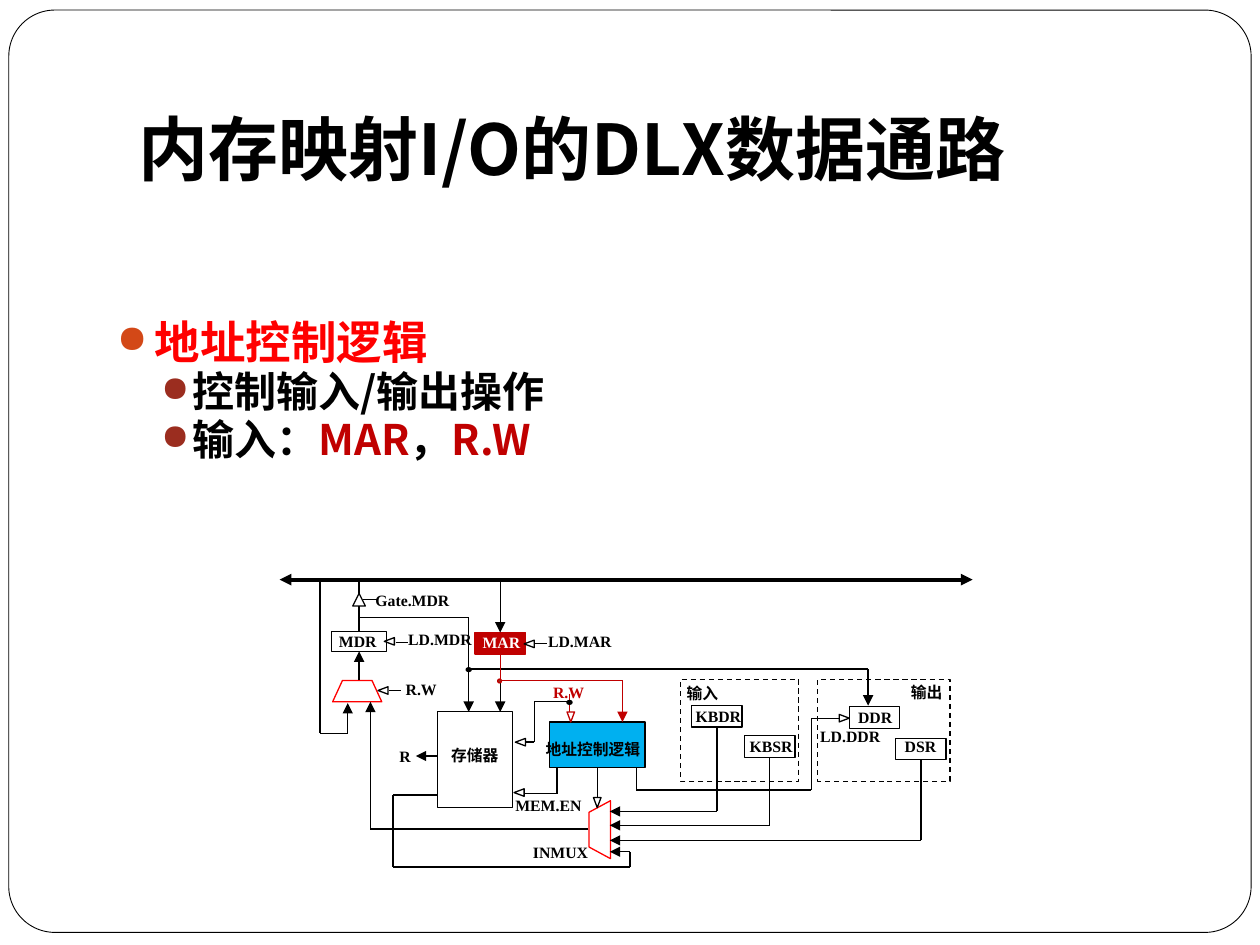
"""Build a slide on the DLX data path with memory-mapped input and output."""
import itertools
from dataclasses import dataclass
from typing import Any, NamedTuple, Optional

import pptx
import pptx.dml.color
import pptx.enum.dml
import pptx.enum.shapes
import pptx.enum.text
import pptx.oxml
import pptx.oxml.ns
import pptx.util

Kind = pptx.enum.shapes.MSO_SHAPE
Anchor = pptx.enum.text.MSO_ANCHOR
Pt = pptx.util.Pt
COLS, ROWS = 1000, 750


@dataclass(frozen=True)
class Theme:
    black: str = "000000"
    white: str = "FFFFFF"
    red: str = "FF0000"
    dark: str = "C00000"
    brick: str = "9B2D1F"
    rust: str = "D34817"
    blue: str = "00B0F0"
    sans: str = "Noto Sans CJK SC"
    serif: str = "Times New Roman"
    title: float = 40
    head: float = 26
    body: float = 24
    label: float = 9
    thin: float = 0.75
    thick: float = 2.25


T = Theme()


class Box(NamedTuple):
    x: float
    y: float
    w: float
    h: float
    fill: Optional[str] = None
    line: str = T.black
    kind: Any = Kind.RECTANGLE
    turn: int = 0
    dash: bool = False


class Label(NamedTuple):
    text: str
    x: float
    y: float
    w: float
    h: float = 22
    tone: str = T.black


class Wire(NamedTuple):
    points: tuple
    tail: bool = False
    tone: str = T.black
    head: bool = False
    width: float = T.thin


class Point(NamedTuple):
    runs: tuple
    size: float
    mark: str
    left: float
    hang: float
    gap: float


deck = pptx.Presentation()
deck.slide_width, deck.slide_height = pptx.util.Inches(10), pptx.util.Inches(7.5)
slide = deck.slides.add_slide(deck.slide_layouts[6])
shapes = slide.shapes
ports: dict = {}


def col(n: float) -> int:
    """Turn grid columns into a length."""
    return round(deck.slide_width * n / COLS)


def row(n: float) -> int:
    """Turn grid rows into a length."""
    return round(deck.slide_height * n / ROWS)


def rgb(tone: str) -> Any:
    """Turn a hex value into a colour."""
    return pptx.dml.color.RGBColor.from_string(tone)


def apply(item: Any, values: dict) -> None:
    """Set each format value on an object."""
    for name, value in values.items():
        setattr(item, name, value)


def add(parent: Any, tag: str, **values: str) -> Any:
    """Append an XML element with its attributes."""
    node = pptx.oxml.parse_xml(f"<{tag} {pptx.oxml.ns.nsdecls('a')}/>")
    for name, value in values.items():
        node.set(name, value)
    parent.append(node)
    return node


def draw_box(box: Box, width: float = T.thin) -> Any:
    """Draw a shape and note the middle of each side of a rectangle."""
    x, y, w, h = box[:4]
    shape = shapes.add_shape(box.kind, col(x), row(y), col(w), row(h))
    shape.shadow.inherit = False
    shape.rotation = box.turn
    if box.fill:
        shape.fill.solid()
        shape.fill.fore_color.rgb = rgb(box.fill)
    else:
        shape.fill.background()
    shape.line.color.rgb = rgb(box.line)
    shape.line.width = Pt(width)
    if box.dash:
        shape.line.dash_style = pptx.enum.dml.MSO_LINE.DASH
    if box.kind == Kind.RECTANGLE:
        sides = ((x + w / 2, y), (x, y + h / 2), (x + w / 2, y + h), (x + w, y + h / 2))
        ports.update({side: (shape, site) for site, side in enumerate(sides)})
    return shape


def draw_wire(wire: Wire) -> None:
    """Draw a wire as straight parts, joined to any box it meets."""
    parts = list(itertools.pairwise(wire.points))
    for start, end in parts:
        part = shapes.add_connector(
            pptx.enum.shapes.MSO_CONNECTOR.STRAIGHT,
            col(start[0]), row(start[1]), col(end[0]), row(end[1]))
        if start in ports:
            part.begin_connect(*ports[start])
        if end in ports:
            part.end_connect(*ports[end])
        part.line.color.rgb = rgb(wire.tone)
        part.line.width = Pt(wire.width)
        edge = part.line._get_or_add_ln()
        if wire.head and start == wire.points[0]:
            add(edge, "a:headEnd", type="triangle")
        if wire.tail and end == wire.points[-1]:
            add(edge, "a:tailEnd", type="triangle")
        add(part._element.spPr, "a:effectLst")


def add_frame(x: float, y: float, w: float, h: float, values: dict) -> Any:
    """Add a wrapped text frame with its format values."""
    frame = shapes.add_textbox(col(x), row(y), col(w), row(h)).text_frame
    apply(frame, {"word_wrap": True, **values})
    return frame


def add_run(para: Any, text: str, size: float, tone: str, face: str = T.sans) -> None:
    """Add a bold run of text."""
    run = para.add_run()
    run.text = text
    apply(run.font, {"size": Pt(size), "bold": True, "name": face})
    run.font.color.rgb = rgb(tone)
    add(run._r.get_or_add_rPr(), "a:ea", typeface=T.sans)


def draw_label(label: Label) -> None:
    """Draw a small label of the circuit."""
    frame = add_frame(*label[1:5], {
        "vertical_anchor": Anchor.MIDDLE, "margin_left": col(2), "margin_right": col(2),
        "margin_top": row(1), "margin_bottom": row(1)})
    add_run(frame.paragraphs[0], label.text, T.label, label.tone, T.serif)


def draw_points(points: tuple) -> None:
    """Draw the bullet list."""
    frame = add_frame(83, 252, 835, 150, {})
    for i, point in enumerate(points):
        para = frame.add_paragraph() if i else frame.paragraphs[0]
        apply(para, {"level": min(i, 1), "line_spacing": 0.82, "space_before": Pt(point.gap)})
        props = para._p.get_or_add_pPr()
        props.set("marL", str(col(point.left)))
        props.set("indent", str(-col(point.hang)))
        add(add(props, "a:buClr"), "a:srgbClr", val=point.mark)
        add(props, "a:buSzPct", val="85000")
        add(props, "a:buChar", char="●")
        for text, tone in point.runs:
            add_run(para, text, point.size, tone)


def tip(x: float, y: float, turn: int, tone: str = T.black, w: float = 6, h: float = 8) -> Box:
    """Describe a hollow arrow tip."""
    return Box(x, y, w, h, T.white, tone, Kind.FLOWCHART_EXTRACT, turn)


def mux(x: float, y: float, w: float, turn: int) -> Box:
    """Describe a multiplexer."""
    return Box(x, y, w, 17, None, T.red, Kind.FLOWCHART_MANUAL_OPERATION, turn)


POINTS = (
    Point((("地址控制逻辑", T.red),), T.head, T.rust, 30, 30, 0),
    Point((("控制输入/输出操作", T.black),), T.body, T.brick, 60, 25, 3.7),
    Point((("输入：", T.black), ("MAR", T.dark), ("，", T.black), ("R.W", T.dark)),
          T.body, T.brick, 60, 25, 3.7))
BOXES = (
    Box(263, 501, 44, 16), Box(377, 502, 40, 17, T.dark, T.dark), Box(347, 565, 60, 76),
    Box(436, 573, 76, 36, T.blue), Box(549, 560, 40, 17), Box(591, 584, 40, 17),
    Box(674, 561, 40, 17), Box(711, 586, 40, 17),
    Box(540, 539, 94, 81, dash=True), Box(649, 539, 105, 81, dash=True),
    mux(264, 540, 39, 180), mux(453, 650, 46, 90))
WIRES = (
    Wire(((222, 460), (772, 460)), True, head=True, width=T.thick),
    Wire(((285, 461), (285, 472))), Wire(((288, 476), (299, 476))),
    Wire(((285, 481), (285, 501))), Wire(((285, 540), (285, 517)), True),
    Wire(((254, 459), (254, 582), (276, 582), (276, 558)), True),
    Wire(((467, 658), (294, 658), (294, 557)), True),
    Wire(((314, 510), (324, 510))), Wire(((424, 511), (434, 511))),
    Wire(((285, 490), (372, 490), (372, 565)), True),
    Wire(((397, 461), (397, 502)), True), Wire(((347, 600), (330, 600)), True),
    Wire(((372, 531), (689, 531), (689, 560)), True),
    Wire(((397, 540), (397, 565)), True), Wire(((397, 519), (397, 541)), tone=T.dark),
    Wire(((397, 540), (494, 540), (494, 573)), True, T.dark),
    Wire(((452, 551), (452, 565)), tone=T.dark),
    Wire(((452, 557), (424, 557), (424, 589), (416, 589))),
    Wire(((442, 609), (442, 630), (416, 630))), Wire(((474, 609), (474, 633))),
    Wire(((347, 631), (312, 631), (312, 688), (500, 688), (500, 676), (484, 676)), True),
    Wire(((505, 609), (505, 627), (644, 627), (644, 570), (668, 570))),
    Wire(((569, 577), (569, 644), (484, 644)), True),
    Wire(((611, 601), (611, 655), (484, 655)), True),
    Wire(((731, 603), (731, 667), (484, 667)), True), Wire(((309, 548), (318, 548))))
MARKS = (
    tip(280, 471, 0, w=10, h=10), tip(306, 505, 270), tip(417, 507, 270),
    tip(450, 565, 180, T.dark), tip(410, 585, 270), tip(409, 625, 270),
    tip(471, 633, 180), tip(667, 566, 90), tip(301, 544, 270),
    Box(370, 530, 4, 3, T.black, kind=Kind.OVAL),
    Box(395, 539, 3, 3, T.brick, T.dark, Kind.OVAL),
    Box(450, 556, 4, 3, T.black, kind=Kind.OVAL))
LABELS = (
    Label("Gate.MDR", 296, 465, 70), Label("MDR", 267, 498, 35),
    Label("LD.MDR", 322, 496, 56), Label("MAR", 381, 499, 35, tone=T.white),
    Label("LD.MAR", 433, 498, 56), Label("存储器", 356, 586, 43, 27),
    Label("MEM.EN", 407, 627, 68, 24), Label("R", 315, 589, 16),
    Label("地址控制逻辑", 431, 575, 85, 39), Label("R.W", 437, 538, 34, tone=T.dark),
    Label("INMUX", 421, 665, 56), Label("KBSR", 593, 581, 39), Label("KBDR", 550, 557, 52),
    Label("DDR", 679, 558, 39), Label("DSR", 716, 581, 39), Label("输出", 721, 538, 37),
    Label("输入", 543, 539, 38), Label("R.W", 320, 536, 34), Label("LD.DDR", 649, 573, 56))

if __name__ == "__main__":
    border = draw_box(Box(7, 8, 986, 732, T.white, kind=Kind.ROUNDED_RECTANGLE), 0.5)
    border.adjustments[0] = 0.05
    title = add_frame(100, 30, 850, 125, {"vertical_anchor": Anchor.BOTTOM})
    add_run(title.paragraphs[0], "内存映射I/O的DLX数据通路", T.title, T.black)
    draw_points(POINTS)
    for draw, items in ((draw_box, BOXES), (draw_wire, WIRES),
                        (draw_box, MARKS), (draw_label, LABELS)):
        for item in items:
            draw(item)
    deck.save("out.pptx")
